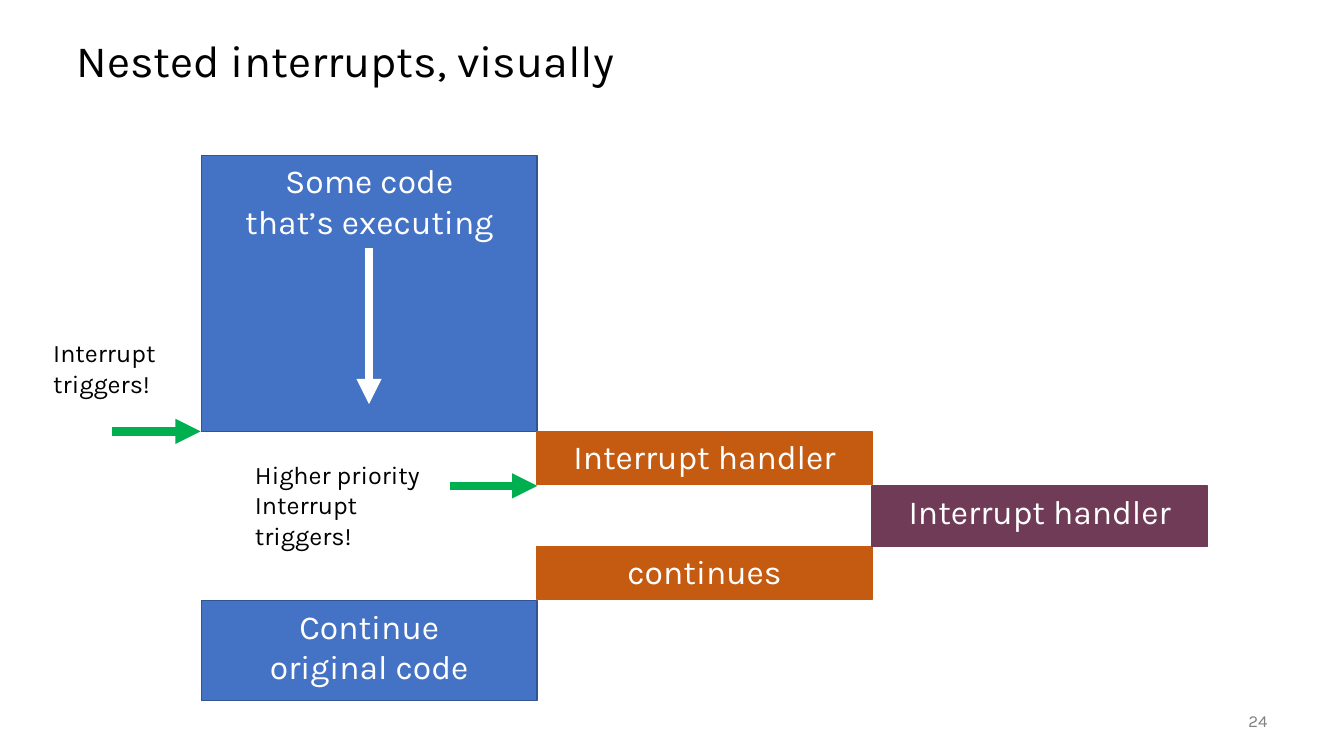
from lxml import etree
from pptx import Presentation
from pptx.dml.color import RGBColor
from pptx.enum.shapes import MSO_CONNECTOR, MSO_SHAPE
from pptx.enum.text import MSO_ANCHOR, PP_ALIGN
from pptx.oxml.ns import qn
from pptx.util import Inches, Pt

RECT, LINE = MSO_SHAPE.RECTANGLE, MSO_CONNECTOR.STRAIGHT
TOP, MIDDLE = MSO_ANCHOR.TOP, MSO_ANCHOR.MIDDLE
LEFT, CENTER, RIGHT = PP_ALIGN.LEFT, PP_ALIGN.CENTER, PP_ALIGN.RIGHT
BLACK, WHITE = RGBColor(0, 0, 0), RGBColor(255, 255, 255)
GRAY, GREEN = RGBColor(0x80, 0x80, 0x80), RGBColor(0x00, 0xB0, 0x50)
BLUE, NAVY = RGBColor(0x44, 0x72, 0xC4), RGBColor(0x32, 0x54, 0x91)
ORANGE, PLUM = RGBColor(0xC5, 0x5A, 0x11), RGBColor(0x70, 0x3B, 0x56)

FONT = "Karla"
TITLE = "Nested interrupts, visually"
START, WIDE = 2, 3.325
BLOCKS = [
    (0, 1.54, 2.74, BLUE, NAVY, ["Some code", "that’s executing"]),
    (1, 4.28, 0.53, ORANGE, ORANGE, ["Interrupt handler"]),
    (0, 5.96, 0.99, BLUE, NAVY, ["Continue", "original code"]),
    (1, 5.42, 0.53, ORANGE, ORANGE, ["continues"]),
    (2, 4.82, 0.6, PLUM, PLUM, ["Interrupt handler"]),
]
ARROWS = [
    (3.66, 2.46, 3.66, 4.01, WHITE),
    (1.11, 4.28, 1.99, 4.28, GREEN),
    (4.46, 4.82, 5.33, 4.82, GREEN),
]
NOTES = [
    (0.43, 3.3, 1.57, 0.71, ["Interrupt triggers!"], 18, BLACK, LEFT, TOP),
    (2.43, 4.51, 2.22, 0.71, ["Higher priority", "Interrupt triggers!"], 18, BLACK, LEFT, TOP),
    (11.67, 6.95, 1, 0.4, ["24"], 12, GRAY, RIGHT, MIDDLE),
]


def write(shape, lines, size, color, align, anchor):
    """Fill a shape with formatted lines of text."""
    frame = shape.text_frame
    frame.word_wrap = True
    frame.vertical_anchor = anchor
    para = frame.paragraphs[0]
    para.alignment = align
    for i, line in enumerate(lines):
        if i:
            para.add_line_break()
        run = para.add_run()
        run.text = line
        run.font.name = FONT
        run.font.size = Pt(size)
        run.font.color.rgb = color
    return para


def block(slide, col, top, high, fill, edge, lines):
    """Draw one code block in its column."""
    left = START + col * WIDE
    box = slide.shapes.add_shape(RECT, Inches(left), Inches(top), Inches(WIDE), Inches(high))
    box.shadow.inherit = False
    box.fill.solid()
    box.fill.fore_color.rgb = fill
    box.line.color.rgb = edge
    box.line.width = Pt(1)
    write(box, lines, 24, WHITE, CENTER, TOP)


def arrow(slide, x1, y1, x2, y2, color):
    """Draw a thick arrow."""
    link = slide.shapes.add_connector(LINE, Inches(x1), Inches(y1), Inches(x2), Inches(y2))
    link.line.color.rgb = color
    link.line.width = Pt(6)
    props = link._element.spPr
    etree.SubElement(props.find(qn("a:ln")), qn("a:tailEnd"), type="triangle")
    etree.SubElement(props, qn("a:effectLst"))


def main():
    """Build the slide on nested interrupts."""
    deck = Presentation()
    deck.slide_width, deck.slide_height = Inches(13.33), Inches(7.5)
    slide = deck.slides.add_slide(deck.slide_layouts[5])
    title = slide.shapes.title
    title.left, title.top = Inches(0.66), Inches(0.25)
    title.width, title.height = Inches(12), Inches(0.75)
    write(title, [TITLE], 32, BLACK, LEFT, MIDDLE).line_spacing = 0.9
    for item in BLOCKS:
        block(slide, *item)
    for item in ARROWS:
        arrow(slide, *item)
    for x, y, w, h, *text in NOTES:
        write(slide.shapes.add_textbox(Inches(x), Inches(y), Inches(w), Inches(h)), *text)
    deck.save("out.pptx")


if __name__ == "__main__":
    main()
